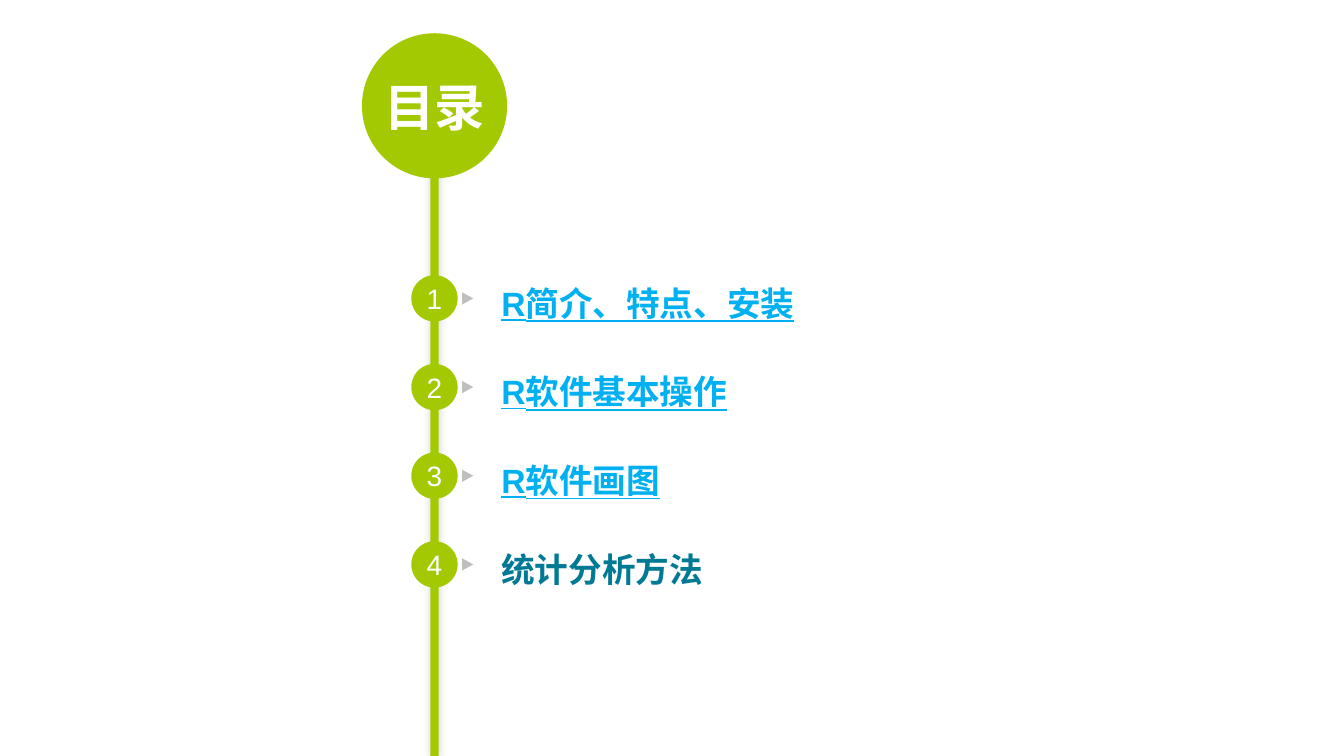
from dataclasses import dataclass

from lxml import etree
from pptx import Presentation
from pptx.dml.color import RGBColor
from pptx.enum.shapes import MSO_SHAPE
from pptx.enum.text import MSO_ANCHOR, MSO_AUTO_SIZE, PP_ALIGN
from pptx.oxml.ns import qn
from pptx.util import Inches, Pt

LIME = RGBColor(0xA3, 0xC9, 0x02)
BLUE = RGBColor(0x00, 0xB0, 0xF0)
TEAL = RGBColor(0x00, 0x79, 0x95)
GREY = RGBColor(0xBF, 0xBF, 0xBF)
WHITE = RGBColor(0xFF, 0xFF, 0xFF)
OVAL, RECT = MSO_SHAPE.OVAL, MSO_SHAPE.RECTANGLE
WEDGE = MSO_SHAPE.ISOSCELES_TRIANGLE
TOP, MIDDLE = MSO_ANCHOR.TOP, MSO_ANCHOR.MIDDLE
LEFT, CENTER = PP_ALIGN.LEFT, PP_ALIGN.CENTER
FIXED = MSO_AUTO_SIZE.NONE
WIDE, HIGH = Inches(13.33), Inches(7.5)
AXIS, FIRST, STEP = 32.33, 39.47, 11.73
LINE = 34.8
GAP = 7.5 * 72 * STEP / 100 - LINE


@dataclass(frozen=True)
class Box:
    """Centre and size, in percent of the slide's width and height."""
    mid_x: float
    mid_y: float
    wide: float
    high: float

    def place(self) -> tuple[int, int, int, int]:
        """Return left, top, width and height in slide units."""
        return (int((self.mid_x - self.wide / 2) * WIDE / 100),
                int((self.mid_y - self.high / 2) * HIGH / 100),
                int(self.wide * WIDE / 100), int(self.high * HIGH / 100))


@dataclass(frozen=True)
class Topic:
    """One entry of the contents list."""
    text: str
    color: RGBColor = BLUE
    under: bool = True


SPINE = Box(AXIS, 56.93, 0.6, 86.13)
DISC = Box(AXIS, 14, 10.8, 19.2)
LIST = Box(59.2, 59.87, 43.8, 47.2)
TOPICS = [
    Topic("R简介、特点、安装"),
    Topic("R软件基本操作"),
    Topic("R软件画图"),
    Topic("统计分析方法", TEAL, False),
]


def draw(slide, kind, box: Box, color: RGBColor):
    """Add a plain filled shape."""
    shape = slide.shapes.add_shape(kind, *box.place())
    shape.shadow.inherit = False
    shape.fill.solid()
    shape.fill.fore_color.rgb = color
    shape.line.fill.background()
    return shape


def glow(shape) -> None:
    """Give a shape a soft black shadow."""
    effects = shape.element.spPr.find(qn("a:effectLst"))
    outer = etree.SubElement(effects, qn("a:outerShdw"), blurRad=str(Pt(6)),
                             dist="0", dir="13500000", algn="ctr")
    black = etree.SubElement(outer, qn("a:srgbClr"), val="000000")
    etree.SubElement(black, qn("a:alpha"), val="20000")


def frame(shape, anchor):
    """Clear the margins of a text frame and fix its size."""
    text = shape.text_frame
    text.margin_left = text.margin_right = 0
    text.margin_top = text.margin_bottom = 0
    text.word_wrap, text.auto_size = True, FIXED
    text.vertical_anchor = anchor
    return text


def write(para, text: str, size: int, color: RGBColor, align,
          bold: bool = False, under: bool = False) -> None:
    """Add one formatted run to a paragraph."""
    para.alignment = align
    run = para.add_run()
    run.text = text
    font = run.font
    font.name, font.size = "Arial", Pt(size)
    font.bold, font.underline = bold, under
    font.color.rgb = color


def move(shape, box: Box) -> None:
    """Move a placeholder to a box."""
    shape.left, shape.top, shape.width, shape.height = box.place()


def head(slide) -> None:
    """Set the title on its disc."""
    draw(slide, OVAL, DISC, LIME)
    title = slide.shapes.title
    move(title, DISC)
    write(frame(title, MIDDLE).paragraphs[0], "目录", 36, WHITE, CENTER, True)
    slide.shapes.element.append(title.element)


def mark(slide, row: int) -> None:
    """Draw the numbered dot and the wedge of a row."""
    mid_y = FIRST + row * STEP
    dot = draw(slide, OVAL, Box(AXIS, mid_y, 3.45, 6.13), LIME)
    write(frame(dot, MIDDLE).paragraphs[0], str(row + 1), 20, WHITE, CENTER)
    wedge = draw(slide, WEDGE, Box(34.8, mid_y, 0.9, 1.47), GREY)
    wedge.rotation = 90


def fill(slide) -> None:
    """Write the topics into the body placeholder."""
    body = slide.placeholders[1]
    move(body, LIST)
    text = frame(body, TOP)
    for row, topic in enumerate(TOPICS):
        para = text.add_paragraph() if row else text.paragraphs[0]
        para.line_spacing = Pt(LINE)
        para.space_before, para.space_after = Pt(0), Pt(GAP)
        write(para, topic.text, 24, topic.color, LEFT, True, topic.under)
        props = para._p.get_or_add_pPr()
        props.set("marL", "0")
        props.set("indent", "0")
        etree.SubElement(props, qn("a:buNone"))


def main() -> None:
    """Build the contents slide."""
    deck = Presentation()
    deck.slide_width, deck.slide_height = WIDE, HIGH
    slide = deck.slides.add_slide(deck.slide_layouts[1])
    glow(draw(slide, RECT, SPINE, LIME))
    head(slide)
    for row in range(len(TOPICS)):
        mark(slide, row)
    fill(slide)
    deck.save("out.pptx")


if __name__ == "__main__":
    main()
